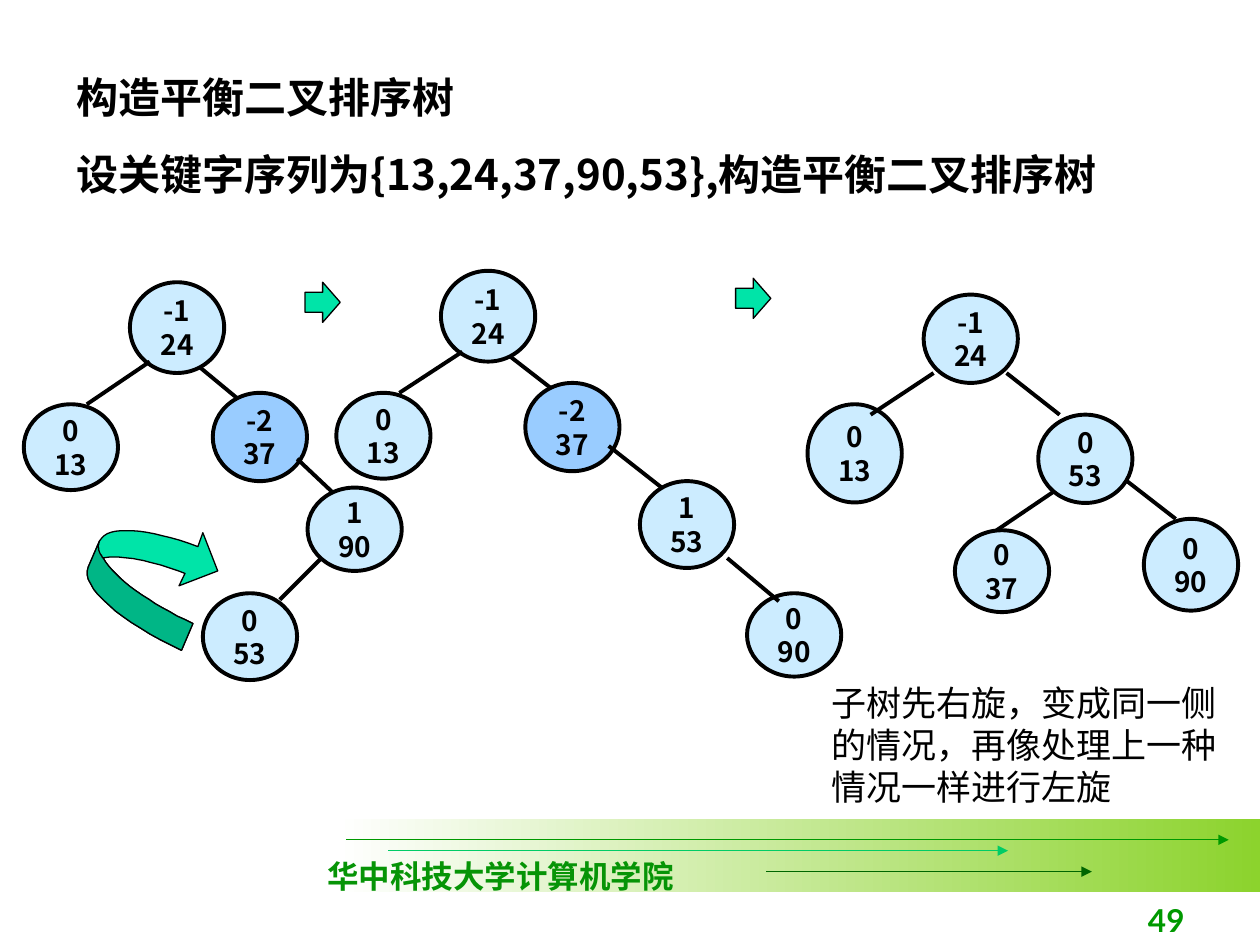
from lxml.etree import SubElement
from pptx import Presentation
from pptx.dml.color import RGBColor
from pptx.enum.shapes import MSO_CONNECTOR as CONN, MSO_SHAPE as SHAPE
from pptx.enum.text import MSO_ANCHOR as ANCHOR, MSO_AUTO_SIZE as AUTO, PP_ALIGN as ALIGN
from pptx.oxml.ns import qn
from pptx.util import Cm, Pt

NODE_WIDTH = 1.9
PALE, HEAVY = "CCECFF", "99CCFF"
GREEN, DARK_GREEN = "00E4A8", "00B686"

# Each tree: edges behind the nodes, nodes (balance, key, left, top, height, fill),
# edges in front of the nodes
TREES = [
    ([(6.63, 11.1, 5.64, 12.09), (3.89, 7.29, 4.93, 8.15)],
     [("-1", "24", 2.62, 5.69, 1.83, PALE), ("1", "90", 6.2, 9.83, 1.68, PALE),
      ("-2", "37", 4.29, 7.92, 1.78, HEAVY), ("0", "53", 4.09, 11.96, 1.75, PALE),
      ("0", "13", 0.48, 8.15, 1.73, PALE)],
     [(3.02, 7.29, 1.75, 8.15), (5.99, 9.25, 6.71, 9.93)]),
    ([(10.16, 7.09, 11.23, 7.92)],
     [("-1", "24", 8.89, 5.46, 1.83, PALE), ("0", "90", 15.06, 11.96, 1.68, PALE),
      ("-2", "37", 10.59, 7.72, 1.78, HEAVY), ("1", "53", 12.9, 9.7, 1.75, PALE),
      ("0", "13", 6.78, 7.92, 1.73, PALE)],
     [(9.32, 7.09, 8.05, 7.92), (12.27, 8.99, 13.34, 9.83), (14.66, 11.25, 15.7, 12.12)]),
    ([(22.63, 9.63, 23.7, 10.46), (21.36, 9.83, 20.09, 10.69)],
     [("-1", "24", 18.62, 5.94, 1.78, PALE), ("0", "13", 16.28, 8.15, 1.98, PALE),
      ("0", "53", 20.93, 8.36, 1.78, PALE), ("0", "90", 23.06, 10.46, 1.85, PALE),
      ("0", "37", 19.25, 10.69, 1.65, PALE)],
     [(18.82, 7.52, 17.55, 8.36), (20.29, 7.52, 21.36, 8.36)]),
]


def rgb(color):
    return RGBColor.from_string(color)


def bezier(p0, p1, p2, p3, steps=16):
    """Points along a cubic curve, both ends included."""
    points = []
    for i in range(steps + 1):
        t = i / steps
        weights = ((1 - t) ** 3, 3 * t * (1 - t) ** 2, 3 * t * t * (1 - t), t ** 3)
        points.append(tuple(sum(w * p[axis] for w, p in zip(weights, (p0, p1, p2, p3)))
                            for axis in (0, 1)))
    return points


class TreeSlide:
    font = "Noto Sans CJK SC"
    black = "000000"

    def __init__(self, prs):
        self.slide = prs.slides.add_slide(prs.slide_layouts[5])
        self.shapes = self.slide.shapes

    def add_lines(self, tf, lines, size, font=None, color=None, bold=True,
                  align=ALIGN.LEFT, gap=0, anchor=ANCHOR.TOP, wrap=True):
        tf.word_wrap = wrap
        tf.auto_size = AUTO.NONE
        tf.vertical_anchor = anchor
        tf.margin_left = tf.margin_right = Cm(0.25)
        tf.margin_top = tf.margin_bottom = Cm(0.13)
        for i, line in enumerate(lines):
            p = tf.add_paragraph() if i else tf.paragraphs[0]
            p.alignment = align
            p.space_before = Pt(gap if i else 0)
            r = p.add_run()
            r.text = line
            r.font.size = Pt(size)
            r.font.bold = bold
            r.font.name = font or self.font
            r.font.color.rgb = rgb(color or self.black)
            SubElement(r.font._element, qn("a:ea"), typeface=self.font)

    def title(self, box, lines, size, **style):
        sp = self.shapes.title
        sp.left, sp.top, sp.width, sp.height = map(Cm, box)
        self.add_lines(sp.text_frame, lines, size, **style)

    def text(self, box, lines, size, **style):
        sp = self.shapes.add_textbox(*map(Cm, box))
        self.add_lines(sp.text_frame, lines, size, **style)

    def paint(self, sp, fill, width):
        sp.shadow.inherit = False
        sp.fill.solid()
        sp.fill.fore_color.rgb = rgb(fill)
        sp.line.color.rgb = rgb(self.black)
        sp.line.width = Pt(width)

    def node(self, balance, key, left, top, height, fill):
        sp = self.shapes.add_shape(SHAPE.OVAL, Cm(left), Cm(top), Cm(NODE_WIDTH), Cm(height))
        self.paint(sp, fill, 2.25)
        self.add_lines(sp.text_frame, [balance, key], 16, align=ALIGN.CENTER,
                       anchor=ANCHOR.MIDDLE, wrap=False)

    def line(self, ends, color=black, width=2.25, arrow=False):
        cxn = self.shapes.add_connector(CONN.STRAIGHT, *map(Cm, ends))
        cxn.line.color.rgb = rgb(color)
        cxn.line.width = Pt(width)
        if arrow:
            SubElement(cxn.line._get_or_add_ln(), qn("a:tailEnd"), type="triangle")
        SubElement(cxn._element.spPr, qn("a:effectLst"))

    def block_arrow(self, left, top):
        sp = self.shapes.add_shape(SHAPE.RIGHT_ARROW, Cm(left), Cm(top), Cm(0.71), Cm(0.81))
        self.paint(sp, GREEN, 0.75)

    def outline(self, points, fill):
        """Closed outline with points in hundredths of a centimetre."""
        builder = self.shapes.build_freeform(*points[0], scale=Cm(0.01))
        builder.add_line_segments(points[1:], close=True)
        self.paint(builder.convert_to_shape(), fill, 0.75)

    def gradient_band(self, box, start, end):
        sp = self.shapes.add_shape(SHAPE.RECTANGLE, *map(Cm, box))
        sp.shadow.inherit = False
        sp.line.fill.background()
        sp.fill.gradient()
        sp.fill.gradient_angle = 0
        for stop, position, color in zip(sp.fill.gradient_stops, (0, 1), (start, end)):
            stop.position = position
            stop.color.rgb = rgb(color)

    def tree(self, edges_behind, nodes, edges_in_front):
        for edge in edges_behind:
            self.line(edge)
        for node in nodes:
            self.node(*node)
        for edge in edges_in_front:
            self.line(edge)

    def rotation_arrow(self):
        tail = bezier((366, 1311), (244, 1255), (160, 1181), (178, 1143))
        fold, inner = (201, 1090), (208, 1125)
        inner_edge = bezier(inner, (231, 1166), (302, 1217), (389, 1257))
        head = [(409, 1074), (439, 1151), (361, 1181)]
        top_edge = bezier(fold, (216, 1059), (297, 1064), (399, 1102))
        lower_edge = bezier((373, 1156), (305, 1130), (244, 1118), (206, 1125))
        fold_edge = bezier(fold, (196, 1100), (198, 1113), inner)
        self.outline(tail + top_edge + head + lower_edge + inner_edge, GREEN)
        self.outline(tail + fold_edge + inner_edge, DARK_GREEN)


def main():
    prs = Presentation()
    prs.slide_width, prs.slide_height = Cm(25.4), Cm(19.05)
    s = TreeSlide(prs)

    s.gradient_band((6.78, 16.51, 18.62, 1.47), "FFFFFF", "8CD32D")
    for ends, color in [((6.98, 16.93, 24.77, 16.93), "009900"),
                        ((7.83, 17.15, 20.32, 17.15), "00CC66"),
                        ((15.45, 17.57, 22.01, 17.57), "006600")]:
        s.line(ends, color, 0.75, arrow=True)
    s.text((6.35, 17.15, 7.49, 1.02), ["华中科技大学计算机学院"], 18,
           font="Times New Roman", color="069406", wrap=False)
    s.text((18.85, 17.78, 5.28, 1.27), ["49"], 18, font="Lato", color="009900",
           align=ALIGN.RIGHT, anchor=ANCHOR.BOTTOM)

    s.title((1.3, 1.32, 23.01, 2.82),
            ["构造平衡二叉排序树", "设关键字序列为{13,24,37,90,53},构造平衡二叉排序树"], 24, gap=15)
    for tree in TREES:
        s.tree(*tree)
    s.text((16.51, 13.61, 8.89, 2.79),
           ["子树先右旋，变成同一侧的情况，再像处理上一种情况一样进行左旋"], 20,
           font="Lato", bold=False)
    s.block_arrow(6.15, 5.69)
    s.block_arrow(14.83, 5.61)
    s.rotation_arrow()

    prs.save("out.pptx")


if __name__ == "__main__":
    main()
